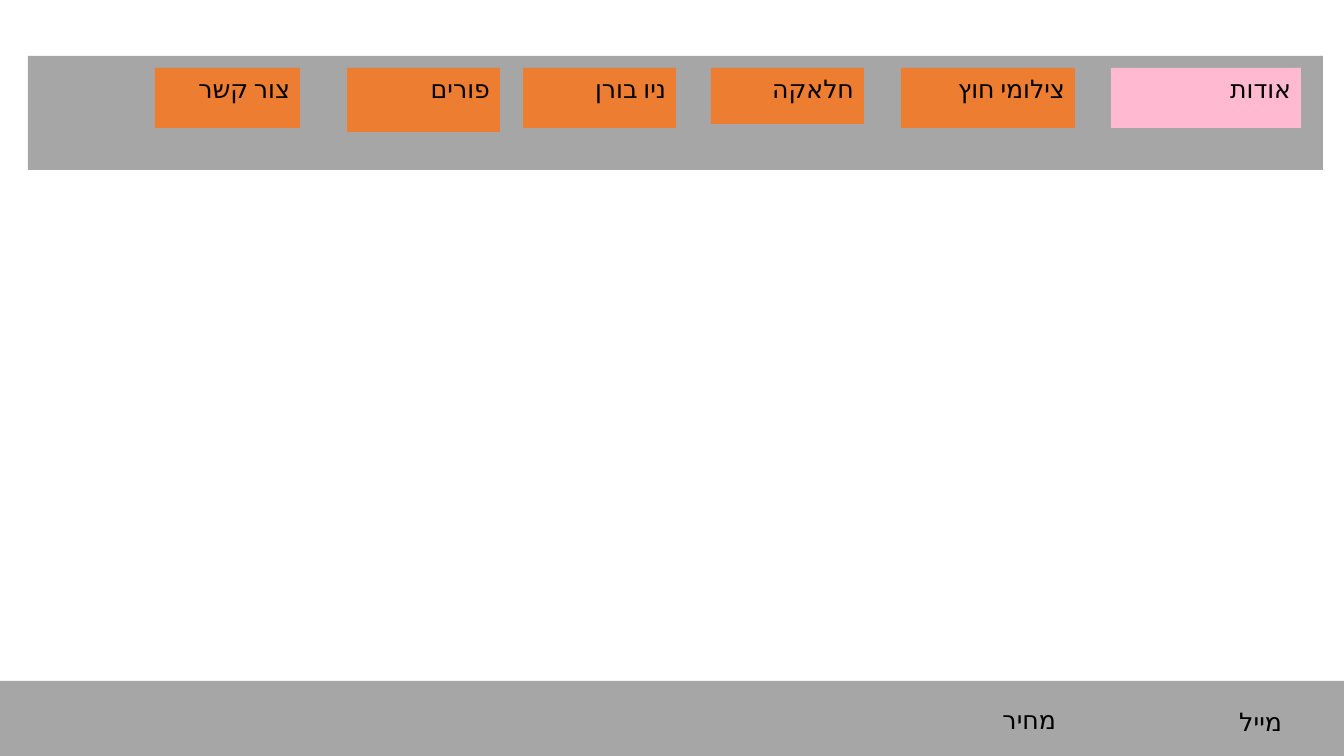
from lxml.etree import SubElement
from pptx import Presentation
from pptx.dml.color import RGBColor
from pptx.enum.lang import MSO_LANGUAGE_ID
from pptx.enum.shapes import MSO_SHAPE
from pptx.enum.text import MSO_ANCHOR, PP_ALIGN
from pptx.oxml.ns import qn
from pptx.util import Emu, Pt

PX = 914400 / 100.8
GREY = RGBColor(0xA6, 0xA6, 0xA6)
PINK = RGBColor(0xFF, 0xB9, 0xD0)
ORANGE = RGBColor(0xED, 0x7D, 0x31)
BLACK = RGBColor(0x00, 0x00, 0x00)
FONT = "Calibri"
LABEL_FRAME = {"word_wrap": True, "vertical_anchor": MSO_ANCHOR.TOP}
LABEL_FONT = {"name": FONT, "size": Pt(18), "language_id": MSO_LANGUAGE_ID.HEBREW}

presentation = Presentation()
presentation.slide_width = Emu(round(1344 * PX))
presentation.slide_height = Emu(round(756 * PX))
page = presentation.slides.add_slide(presentation.slide_layouts[6])


def add_block(left, top, width, height, color):
    box = [Emu(round(length * PX)) for length in (left, top, width, height)]
    block = page.shapes.add_shape(MSO_SHAPE.RECTANGLE, *box)
    block.shadow.inherit = False
    block.fill.solid()
    block.fill.fore_color.rgb = color
    block.line.fill.background()
    return block


def write_label(holder, wording):
    frame = holder.text_frame
    for name, value in LABEL_FRAME.items():
        setattr(frame, name, value)
    line = frame.paragraphs[0]
    line.alignment = PP_ALIGN.RIGHT
    line._p.get_or_add_pPr().set("rtl", "1")
    words = line.add_run()
    words.text = wording
    for name, value in LABEL_FONT.items():
        setattr(words.font, name, value)
    words.font.color.rgb = BLACK
    SubElement(words._r.get_or_add_rPr(), qn("a:cs"), typeface=FONT)


add_block(28, 56, 1295, 114, GREY)

menu = [
    ("אודות", 1111, 190, 60, PINK),
    ("צילומי חוץ", 901, 174, 60, ORANGE),
    ("ניו בורן", 523, 153, 60, ORANGE),
    ("פורים", 347, 153, 64, ORANGE),
    ("חלאקה", 711, 153, 56, ORANGE),
    ("צור קשר", 155, 145, 60, ORANGE),
]
for wording, left, width, height, color in menu:
    write_label(add_block(left, 68, width, height, color), wording)

add_block(-2, 681, 1346, 75, GREY)

for wording, left, top in [("מייל", 1065, 701), ("מחיר", 839, 699)]:
    box = [Emu(round(length * PX)) for length in (left, top, 227, 40)]
    write_label(page.shapes.add_textbox(*box), wording)

presentation.save("out.pptx")
